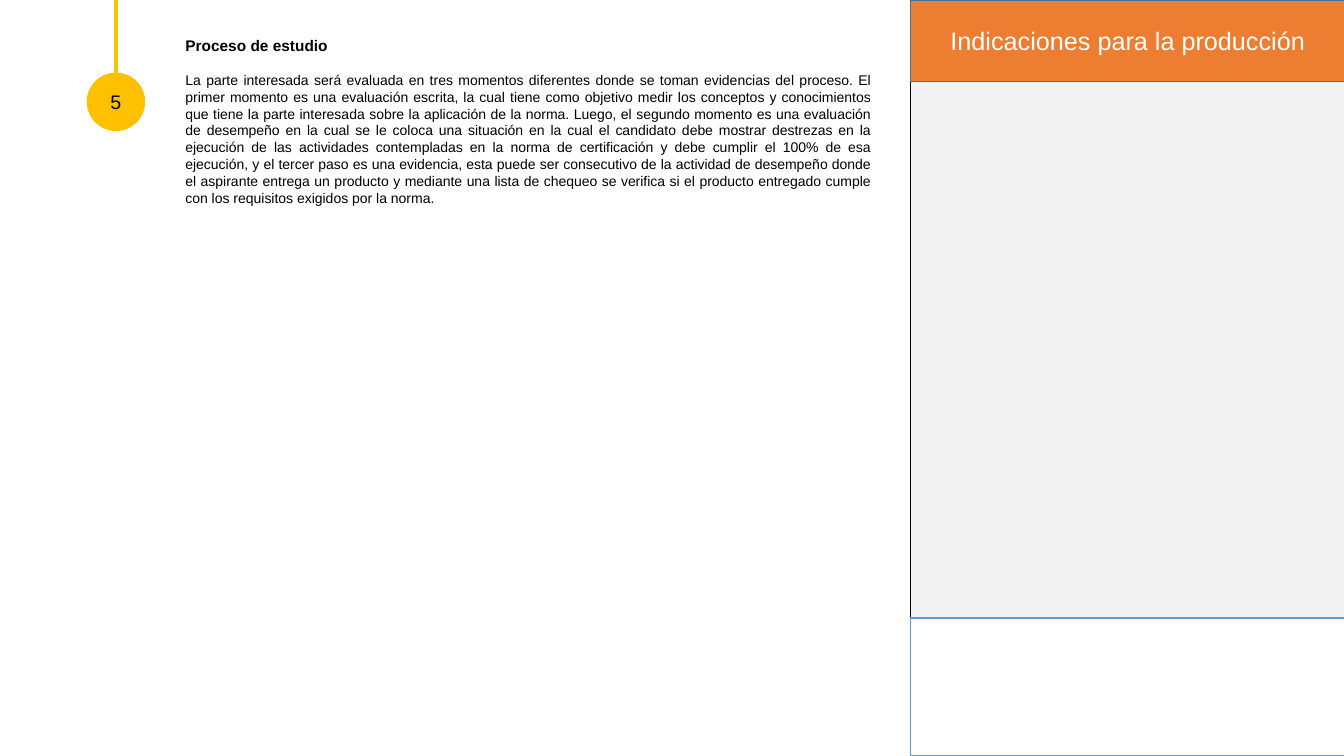
from pptx import Presentation
from pptx.dml.color import RGBColor
from pptx.enum.shapes import MSO_CONNECTOR, MSO_SHAPE
from pptx.enum.text import MSO_ANCHOR, PP_ALIGN
from pptx.oxml.ns import qn
from pptx.util import Inches, Pt
from lxml import etree

RECT, OVAL = MSO_SHAPE.RECTANGLE, MSO_SHAPE.OVAL
STRAIGHT = MSO_CONNECTOR.STRAIGHT
MIDDLE = MSO_ANCHOR.MIDDLE
CENTER, JUSTIFY = PP_ALIGN.CENTER, PP_ALIGN.JUSTIFY

FONT = "Arial"
COLORS = {
    "white": "FFFFFF", "black": "000000", "gray": "F2F2F2", "orange": "ED7D31",
    "navy": "42719B", "blue": "5B9BD5", "yellow": "FFC000",
}
SLIDE_W, SLIDE_H = 13.33, 7.5

TITLE = "Proceso de estudio"
BODY = (
    "La parte interesada será evaluada en tres momentos diferentes donde se toman "
    "evidencias del proceso. El primer momento es una evaluación escrita, la cual tiene "
    "como objetivo medir los conceptos y conocimientos que tiene la parte interesada sobre "
    "la aplicación de la norma. Luego, el segundo momento es una evaluación de desempeño en "
    "la cual se le coloca una situación en la cual el candidato debe mostrar destrezas en la "
    "ejecución de las actividades contempladas en la norma de certificación y debe cumplir "
    "el 100% de esa ejecución, y el tercer paso es una evidencia, esta puede ser consecutivo "
    "de la actividad de desempeño donde el aspirante entrega un producto y mediante una "
    "lista de chequeo se verifica si el producto entregado cumple con los requisitos "
    "exigidos por la norma."
)


def rgb(name):
    return RGBColor.from_string(COLORS[name])


def add_box(s, kind, x, y, w, h, fill, line=None):
    sp = s.shapes.add_shape(kind, Inches(x), Inches(y), Inches(w), Inches(h))
    sp.shadow.inherit = False
    sp.fill.solid()
    sp.fill.fore_color.rgb = rgb(fill)
    if line:
        sp.line.color.rgb = rgb(line)
        sp.line.width = Pt(1)
    else:
        sp.line.fill.background()
    return sp


def add_run(p, text, size, color, align, bold=False):
    p.alignment = align
    r = p.add_run()
    r.text = text
    r.font.name = FONT
    r.font.size = Pt(size)
    r.font.bold = bold
    r.font.color.rgb = rgb(color)


def label(sp, text, size, color):
    tf = sp.text_frame
    tf.vertical_anchor = MIDDLE
    add_run(tf.paragraphs[0], text, size, color, CENTER)


def production_panel(s, x, y, w, h):
    header_h, footer_h = 0.81, 1.37
    add_box(s, RECT, x, y, w, h, "gray", "black")
    header = add_box(s, RECT, x, y, w, header_h, "orange", "navy")
    label(header, "Indicaciones para la producción", 18, "white")
    add_box(s, RECT, x, y + h - footer_h, w, footer_h, "white", "blue")


def step_marker(s, x, y, size, number):
    # Stem from the top edge of the slide to the circle's centre
    mid = Inches(x + size / 2)
    stem = s.shapes.add_connector(STRAIGHT, mid, 0, mid, Inches(y + size / 2))
    stem.line.color.rgb = rgb("yellow")
    stem.line.width = Pt(2.25)
    etree.SubElement(stem._element.spPr, qn("a:effectLst"))
    # Numbered circle
    circle = add_box(s, OVAL, x, y, size, size, "yellow")
    label(circle, number, 14, "black")


def study_text(s, x, y, w, h):
    tf = s.shapes.add_textbox(Inches(x), Inches(y), Inches(w), Inches(h)).text_frame
    tf.word_wrap = True
    p = tf.paragraphs[0]
    p.space_after = Pt(12)
    add_run(p, TITLE, 11, "black", JUSTIFY, bold=True)
    add_run(tf.add_paragraph(), BODY, 10, "black", JUSTIFY)


prs = Presentation()
prs.slide_width, prs.slide_height = Inches(SLIDE_W), Inches(SLIDE_H)
s = prs.slides.add_slide(prs.slide_layouts[6])
production_panel(s, 9.03, 0, 4.31, SLIDE_H)
step_marker(s, 0.86, 0.72, 0.58, "5")
study_text(s, 1.74, 0.31, 6.99, 1.8)
prs.save("out.pptx")
